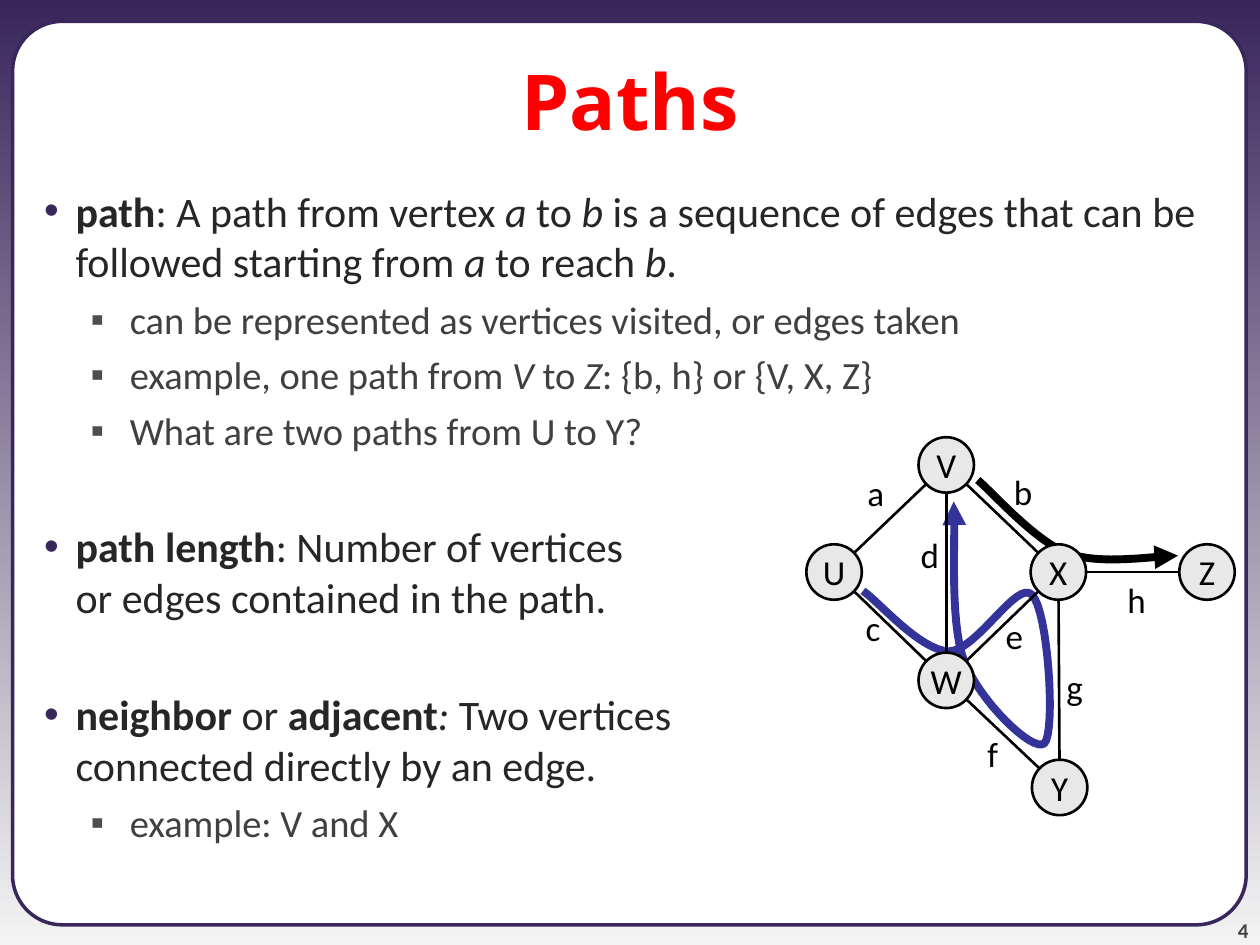
from math import hypot

from lxml import etree
from pptx import Presentation
from pptx.dml.color import RGBColor
from pptx.enum.shapes import MSO_CONNECTOR, MSO_SHAPE
from pptx.enum.text import MSO_ANCHOR, MSO_AUTO_SIZE, PP_ALIGN
from pptx.oxml.ns import qn
from pptx.util import Inches, Pt

ROUNDED, ELLIPSE = MSO_SHAPE.ROUNDED_RECTANGLE, MSO_SHAPE.OVAL
STRAIGHT = MSO_CONNECTOR.STRAIGHT
CENTER, RIGHT = PP_ALIGN.CENTER, PP_ALIGN.RIGHT
TOP, MIDDLE, BOTTOM = MSO_ANCHOR.TOP, MSO_ANCHOR.MIDDLE, MSO_ANCHOR.BOTTOM

PURPLE, BLACK = "39275B", "000000"

# Level, space before in points, spans of (text, style); "\v" breaks the line
BODY = [
    (0, 0, [("path", "b"), (": A path from vertex ", ""), ("a", "i"), (" to ", ""), ("b", "i"),
            (" is a sequence of edges that can be followed starting from ", ""),
            ("a", "i"), (" to reach ", ""), ("b", "i"), (".", "")]),
    (1, 5.5, [("can be represented as vertices visited, or edges taken", "")]),
    (1, 5.5, [("example, one path from ", ""), ("V", "i"), (" to ", ""), ("Z", "i"),
              (": {b, h} or {V, X, Z}", "")]),
    (1, 5.5, [("What are two paths from U to Y?", "")]),
    (0, 38.4, [("path length", "b"),
               (": Number of vertices\vor edges contained in the path.", "")]),
    (0, 38.4, [("neighbor ", "b"), ("or ", ""), ("adjacent", "b"), (": ", "i"),
               ("Two vertices\vconnected directly by an edge.", "")]),
    (1, 5.5, [("example: V and X", "")]),
]
# Margin, hanging indent, bullet, bullet colour, size, text colour
LEVELS = [
    (0.5, -0.25, "•", PURPLE, 24, "262626"),
    (0.93, -0.31, "▪", "4D4D4D", 22, "404040"),
]

VERTICES = {"U": (6.62, 4.54), "V": (7.51, 3.69), "W": (7.51, 5.4),
            "X": (8.4, 4.54), "Y": (8.41, 6.25), "Z": (9.58, 4.54)}
DIAMETER = 0.44
# Two vertices, label, centre of the label
EDGES = [
    ("U", "V", "a", 6.95, 3.91), ("V", "X", "b", 8.12, 3.9),
    ("U", "W", "c", 6.93, 4.98), ("V", "W", "d", 7.38, 4.4),
    ("W", "X", "e", 8.05, 5.04), ("W", "Y", "f", 7.88, 5.98),
    ("X", "Y", "g", 8.53, 5.45), ("X", "Z", "h", 9.02, 4.76),
]
# Colour, then Bezier points: a start and three more for each curve
ROUTES = [
    ("333399", [(6.85, 4.69), (6.99, 4.79), (7.3, 5.16), (7.53, 5.17),
                (7.75, 5.17), (8.07, 4.6), (8.19, 4.72),
                (8.32, 4.84), (8.38, 5.81), (8.29, 5.9),
                (8.2, 5.98), (7.77, 5.56), (7.65, 5.24),
                (7.53, 4.92), (7.59, 4.19), (7.57, 3.98)]),
    (BLACK, [(7.76, 3.81), (7.88, 3.91), (8.21, 4.29), (8.47, 4.39),
             (8.74, 4.49), (9.17, 4.41), (9.35, 4.41)]),
]
STEPS = 16


def color(value):
    return RGBColor.from_string(value)


def style_font(font, name, size, value, bold=None):
    font.name, font.size, font.bold = name, Pt(size), bold
    font.color.rgb = color(value)


def style_line(shape, value, width):
    shape.line.color.rgb = color(value)
    shape.line.width = Pt(width)


def place(shape, left, top, width, height):
    shape.left, shape.top = Inches(left), Inches(top)
    shape.width, shape.height = Inches(width), Inches(height)


def add_preset(page, kind, left, top, width, height, fill, line, line_width):
    shape = page.shapes.add_shape(kind, Inches(left), Inches(top), Inches(width), Inches(height))
    shape.shadow.inherit = False
    shape.fill.solid()
    shape.fill.fore_color.rgb = color(fill)
    style_line(shape, line, line_width)
    return shape


def write(shape, text, size, value, align, anchor, name="Calibri", bold=None):
    frame = shape.text_frame
    frame.margin_left = frame.margin_right = frame.margin_top = frame.margin_bottom = 0
    frame.word_wrap = True
    frame.vertical_anchor = anchor
    paragraph = frame.paragraphs[0]
    paragraph.text = text
    paragraph.alignment = align
    style_font(paragraph.font, name, size, value, bold)


def add_label(page, text, left, top, width, height, size, value, align, anchor, bold=None):
    box = page.shapes.add_textbox(Inches(left), Inches(top), Inches(width), Inches(height))
    write(box, text, size, value, align, anchor, bold=bold)


def add_bullet(paragraph, margin, indent, mark, value):
    properties = paragraph._p.get_or_add_pPr()
    properties.set("marL", str(Inches(margin)))
    properties.set("indent", str(Inches(indent)))
    holder = etree.SubElement(properties, qn("a:buClr"))
    etree.SubElement(holder, qn("a:srgbClr"), val=value)
    etree.SubElement(properties, qn("a:buFont"), typeface="Arial")
    etree.SubElement(properties, qn("a:buChar"), char=mark)


def fill_body(body):
    frame = body.text_frame
    frame.auto_size = MSO_AUTO_SIZE.NONE
    frame.vertical_anchor = TOP
    for number, (level, space, spans) in enumerate(BODY):
        paragraph = frame.paragraphs[0] if number == 0 else frame.add_paragraph()
        margin, indent, mark, mark_color, size, value = LEVELS[level]
        paragraph.level = level
        paragraph.space_before = Pt(space)
        add_bullet(paragraph, margin, indent, mark, mark_color)
        style_font(paragraph.font, "Calibri", size, value)
        for text, style in spans:
            for part, piece in enumerate(text.split("\v")):
                if part:
                    paragraph.add_line_break()
                span = paragraph.add_run()
                span.text = piece
                span.font.bold = "b" in style
                span.font.italic = "i" in style


def bezier(points):
    """Return points along a chain of cubic curves."""
    track = [points[0]]
    for first in range(0, len(points) - 1, 3):
        curve = points[first:first + 4]
        for step in range(1, STEPS + 1):
            t = step / STEPS
            weights = ((1 - t) ** 3, 3 * t * (1 - t) ** 2, 3 * t * t * (1 - t), t ** 3)
            track.append(tuple(sum(w * point[axis] for w, point in zip(weights, curve))
                               for axis in (0, 1)))
    return track


def add_route(page, value, points):
    track = [(Inches(x), Inches(y)) for x, y in bezier(points)]
    builder = page.shapes.build_freeform(*track[0])
    builder.add_line_segments(track[1:], close=False)
    route = builder.convert_to_shape()
    route.shadow.inherit = False
    route.fill.background()
    style_line(route, value, 4.5)
    etree.SubElement(route.line._get_or_add_ln(), qn("a:tailEnd"), type="triangle")


def add_edge(page, start, end):
    """Join the rims of two vertices."""
    (x1, y1), (x2, y2) = VERTICES[start], VERTICES[end]
    share = DIAMETER / 2 / hypot(x2 - x1, y2 - y1)
    dx, dy = (x2 - x1) * share, (y2 - y1) * share
    edge = page.shapes.add_connector(STRAIGHT, Inches(x1 + dx), Inches(y1 + dy),
                                     Inches(x2 - dx), Inches(y2 - dy))
    style_line(edge, BLACK, 1.5)
    etree.SubElement(edge.element.spPr, qn("a:effectLst"))


def main():
    deck = Presentation()
    deck.slide_width, deck.slide_height = Inches(10), Inches(7.5)
    page = deck.slides.add_slide(deck.slide_layouts[1])

    background = page.background.fill
    background.gradient()
    background.gradient_angle = 270
    for stop, value in zip(background.gradient_stops, (PURPLE, "F3F3F3")):
        stop.color.rgb = color(value)

    panel = add_preset(page, ROUNDED, 0.1, 0.17, 9.79, 7.17, "FFFFFF", PURPLE, 2)
    panel.adjustments[0] = 0.055
    page.shapes.element.insert(2, panel.element)  # behind the placeholders

    title, body = page.placeholders
    place(title, 0, 0.17, 10, 1.25)
    write(title, "Paths", 44, "FF0000", CENTER, MIDDLE, "Noto Sans", True)
    place(body, 0, 1.42, 10, 6.08)
    fill_body(body)
    add_label(page, "4", 9.08, 7.08, 0.83, 0.4, 12, "424242", RIGHT, BOTTOM, True)

    for value, points in ROUTES:
        add_route(page, value, points)
    for name, (x, y) in VERTICES.items():
        vertex = add_preset(page, ELLIPSE, x - DIAMETER / 2, y - DIAMETER / 2,
                            DIAMETER, DIAMETER, "E8E8E8", BLACK, 1.5)
        write(vertex, name, 20, BLACK, CENTER, MIDDLE)
    for start, end, name, x, y in EDGES:
        add_edge(page, start, end)
        add_label(page, name, x - 0.17, y - 0.22, 0.34, 0.44, 20, BLACK, CENTER, MIDDLE)

    deck.save("out.pptx")


if __name__ == "__main__":
    main()
